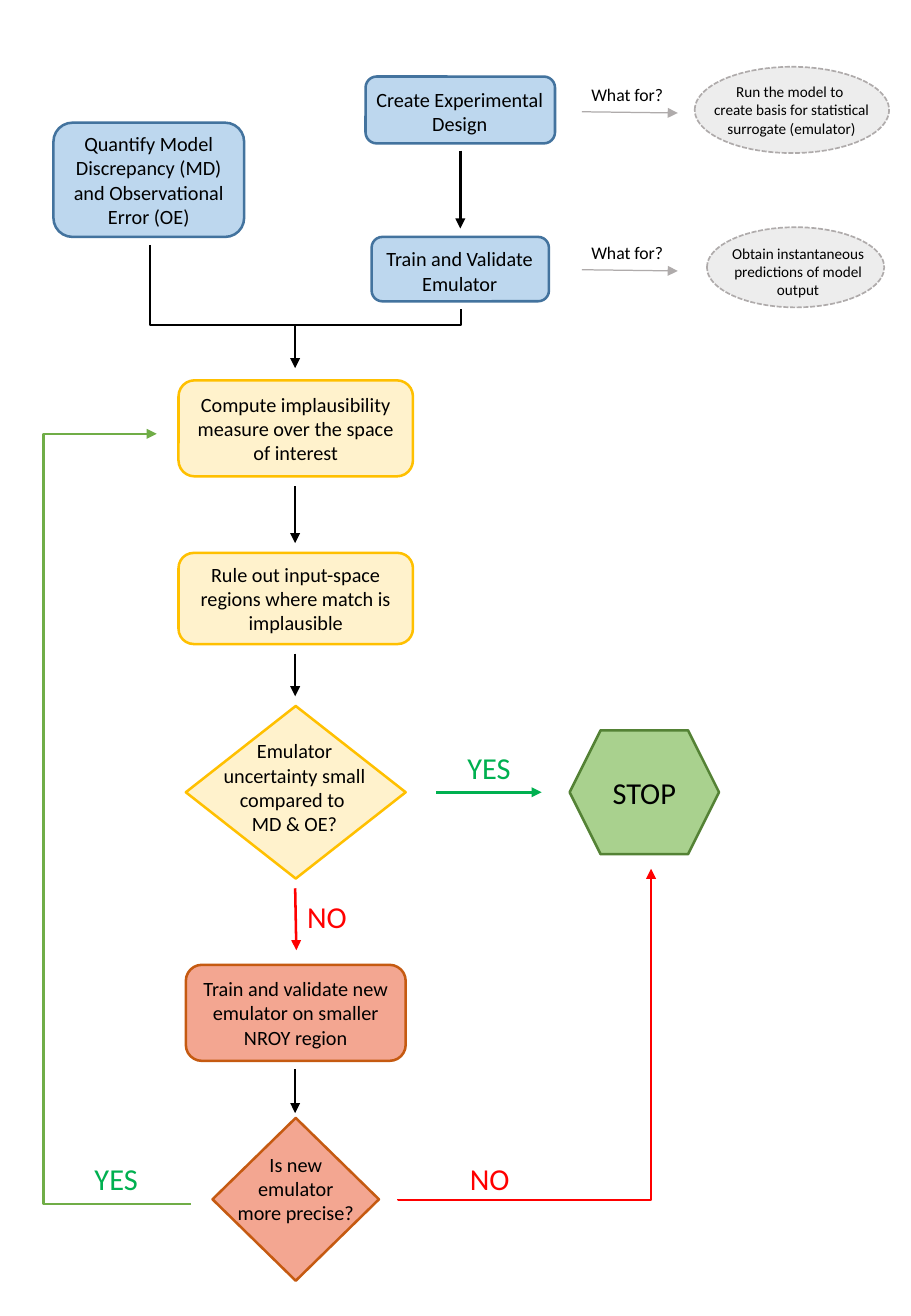
from lxml.etree import SubElement
from pptx import Presentation
from pptx.dml.color import RGBColor
from pptx.enum.dml import MSO_LINE
from pptx.enum.shapes import MSO_CONNECTOR, MSO_SHAPE
from pptx.enum.text import MSO_ANCHOR, PP_ALIGN
from pptx.oxml.ns import qn
from pptx.util import Inches, Pt

BLACK = RGBColor(0x00, 0x00, 0x00)
GRAY = RGBColor(0xAF, 0xAB, 0xAB)
PALE = RGBColor(0xED, 0xED, 0xED)
BLUE = RGBColor(0x43, 0x73, 0x9E)
SKY = RGBColor(0xBD, 0xD7, 0xEE)
GOLD = RGBColor(0xFF, 0xC0, 0x00)
CREAM = RGBColor(0xFF, 0xF2, 0xCC)
RUST = RGBColor(0xC5, 0x5A, 0x11)
SALMON = RGBColor(0xF3, 0xA6, 0x91)
MOSS = RGBColor(0x54, 0x82, 0x35)
LEAF = RGBColor(0xA9, 0xD1, 0x8E)
LIME = RGBColor(0x70, 0xAD, 0x47)
GREEN = RGBColor(0x00, 0xB0, 0x50)
RED = RGBColor(0xFF, 0x00, 0x00)

ROUND = MSO_SHAPE.FLOWCHART_ALTERNATE_PROCESS
CHOICE = MSO_SHAPE.FLOWCHART_DECISION
MID = 2.43


class Flow:
    def __init__(self, slide, font):
        self.slide = slide
        self.font = font

    def fill_text(self, frame, lines, size, color, align):
        for i, line in enumerate(lines):
            para = frame.paragraphs[0] if i == 0 else frame.add_paragraph()
            para.alignment = align
            run = para.add_run()
            run.text = line
            run.font.name = self.font
            run.font.size = Pt(size)
            run.font.color.rgb = color

    def node(self, kind, box, fill, edge, text=None, size=12, dash=False):
        shape = self.slide.shapes.add_shape(kind, *map(Inches, box))
        shape.shadow.inherit = False
        shape.fill.solid()
        shape.fill.fore_color.rgb = fill
        shape.line.color.rgb = edge
        shape.line.width = Pt(1 if dash else 1.5)
        if dash:
            shape.line.dash_style = MSO_LINE.SQUARE_DOT
        if text:
            frame = shape.text_frame
            frame.word_wrap = True
            frame.vertical_anchor = MSO_ANCHOR.MIDDLE
            self.fill_text(frame, [text], size, BLACK, PP_ALIGN.CENTER)

    def note(self, box, *lines, size=12):
        frame = self.slide.shapes.add_textbox(*map(Inches, box)).text_frame
        frame.word_wrap = True
        self.fill_text(frame, lines, size, BLACK, PP_ALIGN.CENTER)

    def label(self, box, text, color, size=18):
        frame = self.slide.shapes.add_textbox(*map(Inches, box)).text_frame
        frame.word_wrap = False
        self.fill_text(frame, [text], size, color, PP_ALIGN.LEFT)

    def link(self, kind, ends, color, width, head):
        wire = self.slide.shapes.add_connector(kind, *map(Inches, ends))
        wire.line.color.rgb = color
        wire.line.width = Pt(width)
        props = wire._element.spPr
        if head:
            SubElement(props.find(qn("a:ln")), qn("a:tailEnd"), type="triangle")
        SubElement(props, qn("a:effectLst"))
        return props

    def arrow(self, x1, y1, x2, y2, color=BLACK, width=1.5):
        self.link(MSO_CONNECTOR.STRAIGHT, (x1, y1, x2, y2), color, width, True)

    def bend(self, box, turn, flips, ratio, color, head=True):
        x, y, w, h = box
        ends = (x, y, x + w, y + h)
        props = self.link(MSO_CONNECTOR.ELBOW, ends, color, 1.5, head)
        frame = props.find(qn("a:xfrm"))
        frame.set("rot", str(turn * 60000))
        for flip in flips:
            frame.set("flip" + flip, "1")
        shape = props.find(qn("a:prstGeom"))
        guides = shape.find(qn("a:avLst"))
        if guides is None:
            guides = SubElement(shape, qn("a:avLst"))
        value = f"val {round(ratio * 100000)}"
        SubElement(guides, qn("a:gd"), name="adj1", fmla=value)


def main():
    deck = Presentation()
    deck.slide_width = Inches(7.5)
    deck.slide_height = Inches(10.83)
    flow = Flow(deck.slides.add_slide(deck.slide_layouts[6]), "Calibri")

    flow.node(ROUND, (0.44, 1.01, 1.57, 0.94), SKY, BLUE,
              "Quantify Model Discrepancy (MD) and Observational Error (OE)")
    flow.node(ROUND, (3.06, 1.95, 1.46, 0.53), SKY, BLUE)
    flow.node(ROUND, (3.01, 0.63, 1.56, 0.55), SKY, BLUE)
    flow.note((3.08, 1.98, 1.41, 0.5), "Train and Validate Emulator")
    flow.note((2.96, 0.67, 1.65, 0.5), "Create Experimental Design")

    flow.node(MSO_SHAPE.OVAL, (5.72, 0.55, 1.6, 0.71), PALE, GRAY, dash=True)
    flow.note((5.67, 0.63, 1.69, 0.56), "Run the model to ",
              "create basis for statistical surrogate (emulator)", size=9)
    flow.node(MSO_SHAPE.OVAL, (5.82, 1.87, 1.46, 0.66), PALE, GRAY, dash=True)
    flow.note((5.86, 1.96, 1.42, 0.56),
              "Obtain instantaneous predictions of model output", size=9)
    for top in (0.64, 1.94):
        flow.arrow(4.79, top + 0.28, 5.58, top + 0.29, GRAY, 0.75)
        flow.label((4.77, top, 0.81, 0.28), "What for?", BLACK, 10.5)

    flow.node(ROUND, (1.47, 3.13, 1.93, 0.79), CREAM, GOLD,
              "Compute implausibility measure over the space of interest")
    flow.node(ROUND, (1.47, 4.55, 1.93, 0.75), CREAM, GOLD,
              "Rule out input-space regions where match is implausible")
    flow.node(CHOICE, (1.53, 5.81, 1.81, 1.42), CREAM, GOLD)
    flow.note((1.64, 6.03, 1.57, 0.91),
              "Emulator uncertainty small compared to ", "MD & OE?")
    flow.node(MSO_SHAPE.HEXAGON, (4.69, 6.01, 1.23, 1.02), LEAF, MOSS,
              "STOP", 18)
    flow.node(ROUND, (1.53, 7.94, 1.81, 0.79), SALMON, RUST,
              "Train and validate new emulator on smaller NROY region")
    flow.node(CHOICE, (1.75, 9.2, 1.37, 1.34), SALMON, RUST)
    flow.note((1.84, 9.43, 1.19, 0.71), "Is new emulator more precise?")

    flow.arrow(3.79, 1.24, 3.79, 1.88)
    for top, end in ((2.67, 3.03), (4, 4.47), (5.38, 5.73), (8.8, 9.16)):
        flow.arrow(MID, top, MID, end)
    flow.arrow(3.59, 6.52, 4.46, 6.52, GREEN)
    flow.arrow(MID, 7.31, 2.44, 7.82, RED)

    flow.bend((2.25, 1, 0.53, 2.56), 270, "H", 1.245, BLACK, head=False)
    flow.bend((2.96, 7.47, 2.72, 2.08), 90, "HV", -0.002, RED)
    flow.bend((1.29, 3.57, 0.28, 6.34), 180, "", 4.328, LIME)

    for left, top in ((3.75, 6.12), (0.68, 9.5)):
        flow.label((left, top, 0.56, 0.4), "YES", GREEN)
    for left, top in ((2.43, 7.34), (3.77, 9.5)):
        flow.label((left, top, 0.53, 0.4), "NO", RED)

    deck.save("out.pptx")


if __name__ == "__main__":
    main()
